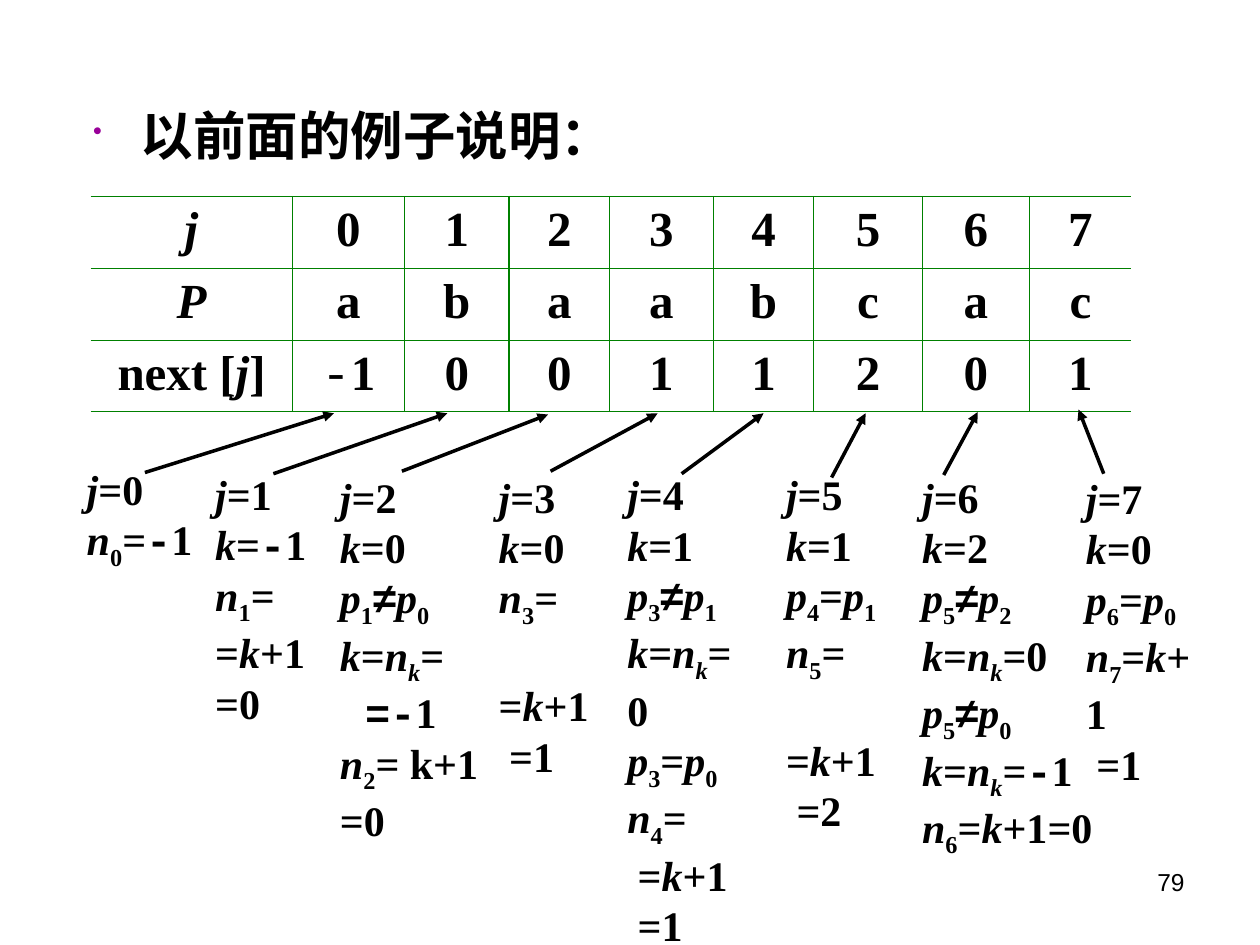
"""Build the slide that works through the next[j] table of a pattern."""
import itertools

import lxml.etree
import pptx
import pptx.dml.color
import pptx.enum.shapes
import pptx.enum.text
import pptx.oxml.ns
import pptx.util

Inches, Pt = pptx.util.Inches, pptx.util.Pt
qn = pptx.oxml.ns.qn
RGBColor = pptx.dml.color.RGBColor
BLACK = RGBColor(0x00, 0x00, 0x00)
GREEN = RGBColor(0x00, 0x80, 0x00)
PURPLE = RGBColor(0x99, 0x00, 0x99)
SERIF, SANS, MONO = "Times New Roman", "Arial", "Courier New"


def child(parent, tag, **attrs):
    return lxml.etree.SubElement(parent, qn(tag), attrs)


def write(p, text, size, font=SERIF, bold=True):
    """Write text where * marks italic, _ subscript and ~ monospace for the next character."""
    p.font.size, p.font.bold, p.font.color.rgb = Pt(size), bold, BLACK
    chars, marks = [], ""
    for ch in text:
        if ch in "*_~":
            marks += ch
            continue
        face = MONO if ch == "-" or "~" in marks else SANS if ch == "≠" else font
        chars.append(((face, "*" in marks, "_" in marks), ch))
        marks = ""
    for (face, italic, sub), group in itertools.groupby(chars, lambda c: c[0]):
        r = p.add_run()
        r.text = "".join(ch for _, ch in group)
        r.font.name = face
        r.font.italic = italic
        if sub:
            r.font._element.set("baseline", "-25000")


prs = pptx.Presentation()
prs.slide_width, prs.slide_height = Inches(10), Inches(7.5)
s = prs.slides.add_slide(prs.slide_layouts[6])

tf = s.shapes.add_textbox(Inches(0.64), Inches(0.77), Inches(8.67), Inches(0.74)).text_frame
tf.word_wrap = True
p = tf.paragraphs[0]
pPr = p._p.get_or_add_pPr()
pPr.set("marL", str(Inches(0.38)))
pPr.set("indent", str(-Inches(0.38)))
child(child(pPr, "a:buClr"), "a:srgbClr", val=str(PURPLE))
child(pPr, "a:buSzPct", val="50000")
child(pPr, "a:buChar", char="•")
p.space_before = Pt(7.5)
write(p, "以前面的例子说明：", 30, SANS)

rows = [
    ["*j", "0", "1", "2", "3", "4", "5", "6", "7"],
    ["*P", "a", "b", "a", "a", "b", "c", "a", "c"],
    ["next [*j]", "-1", "0", "0", "1", "1", "2", "0", "1"],
]
widths = [1.6, 0.89, 0.83, 0.8, 0.82, 0.8, 0.86, 0.85, 0.81]
table = s.shapes.add_table(len(rows), len(widths), Inches(0.72), Inches(1.56),
                           Inches(sum(widths)), Inches(1.7)).table
table.first_row = table.horz_banding = False
for column, width in zip(table.columns, widths):
    column.width = Inches(width)
for i, texts in enumerate(rows):
    table.rows[i].height = Inches(0.57)
    for j, text in enumerate(texts):
        cell = table.cell(i, j)
        tcPr = cell._tc.get_or_add_tcPr()
        hidden = {0: "a:lnL", len(widths) - 1: "a:lnR"}.get(j)
        for side in ("a:lnL", "a:lnR", "a:lnT", "a:lnB"):
            ln = child(tcPr, side, w=str(Pt(0.75)))
            if side == hidden:
                child(ln, "a:noFill")
            else:
                child(child(ln, "a:solidFill"), "a:srgbClr", val=str(GREEN))
        cell.fill.background()
        p = cell.text_frame.paragraphs[0]
        p.alignment = pptx.enum.text.PP_ALIGN.CENTER
        write(p, text, 28)
        if text == "-1":
            p.runs[0].font.bold = False

steps = [
    (0.59, 3.63, 1.04, 0.96, ["*j=0", "*n_0=-1"]),
    (1.61, 3.67, 0.92, 2.16, ["*j=1", "*k=-1", "*n_1=", "=*k+1", "=0"]),
    (2.6, 3.69, 1.3, 3.07, ["*j=2", "*k=0", "*p_1≠*p_0", "*k=*n*_k=", "~ ~=-1",
                            "*n_2= k+1", "=0"]),
    (3.86, 3.69, 0.99, 2.16, ["*j=3", "*k=0", "*n_3=", " =*k+1", " =1"]),
    (4.88, 3.67, 1.19, 3.52, ["*j=4", "*k=1", "*p_3≠*p_1", "*k=*n*_k=0", "*p_3=*p_0",
                              "*n_4=", " =*k+1", " =1"]),
    (6.14, 3.67, 0.99, 2.61, ["*j=5", "*k=1", "*p_4=*p_1", "*n_5=", " =*k+1", " =2"]),
    (7.22, 3.69, 1.55, 3.18, ["*j=6", "*k=2", "*p_5≠*p_2", "*k=*n*_k=0", "*p_5≠*p_0",
                              "*k=*n*_k=-1", "*n_6=*k+1=0"]),
    (8.52, 3.7, 1.19, 2.21, ["*j=7", "*k=0", "*p_6=*p_0", "*n_7=*k+1", " =1"]),
]
for left, top, width, height, lines in steps:
    tf = s.shapes.add_textbox(Inches(left), Inches(top), Inches(width), Inches(height)).text_frame
    tf.word_wrap = False
    tf.auto_size = pptx.enum.text.MSO_AUTO_SIZE.SHAPE_TO_FIT_TEXT
    for i, line in enumerate(lines):
        p = tf.add_paragraph() if i else tf.paragraphs[0]
        write(p, line, 24)

arrows = [
    (1.15, 3.75, 2.65, 3.28), (2.17, 3.76, 3.55, 3.28),
    (3.19, 3.74, 4.35, 3.29), (4.37, 3.74, 5.22, 3.28),
    (5.41, 3.76, 6.06, 3.28), (6.6, 3.79, 6.87, 3.28),
    (7.49, 3.77, 7.76, 3.27), (8.76, 3.76, 8.56, 3.25),
]
for ends in arrows:
    arrow = s.shapes.add_connector(pptx.enum.shapes.MSO_CONNECTOR.STRAIGHT, *map(Inches, ends))
    arrow.line.color.rgb = BLACK
    arrow.line.width = Pt(2)
    child(arrow.line._get_or_add_ln(), "a:tailEnd", type="triangle")
    child(arrow._element.spPr, "a:effectLst")

tf = s.shapes.add_textbox(Inches(7.17), Inches(6.83), Inches(2.33), Inches(0.52)).text_frame
tf.word_wrap = True
p = tf.paragraphs[0]
p.alignment = pptx.enum.text.PP_ALIGN.RIGHT
write(p, "79", 14, SANS, False)

prs.save("out.pptx")
